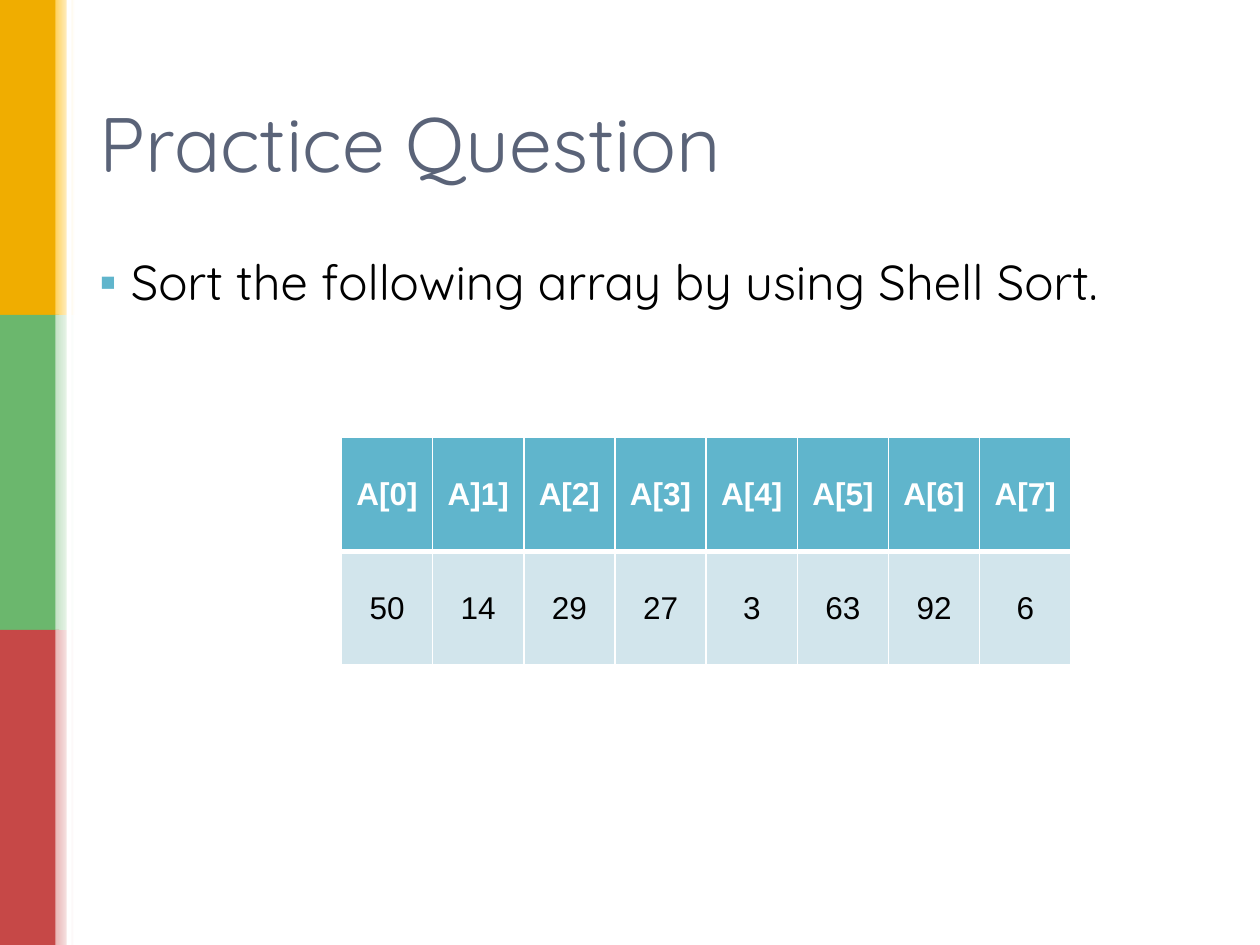
from dataclasses import dataclass

from lxml.etree import SubElement
from pptx import Presentation
from pptx.dml.color import RGBColor as RGB
from pptx.enum.shapes import MSO_SHAPE as SHAPE
from pptx.enum.text import MSO_ANCHOR as ANCHOR, PP_ALIGN as ALIGN
from pptx.oxml.ns import qn
from pptx.util import Inches, Pt


@dataclass(frozen=True)
class Theme:
    text_font: str = "Quicksand"
    table_font: str = "Arial"
    title_size: int = 44
    body_size: int = 28
    table_size: int = 18
    title: str = "5A6378"
    body: str = "000000"
    accent: str = "60B5CC"
    pale: str = "D2E5EC"
    white: str = "FFFFFF"
    # Side bands from top to bottom: solid colour, start of its fade
    bands: tuple = (("F0AD00", "FFD25D"), ("6BB76D", "C4E2C5"), ("C64847", "E8B6B5"))


class SlideBuilder:
    def __init__(self, slide, theme):
        self.slide = slide
        self.theme = theme

    def style(self, paragraph, **formats):
        font = paragraph.font
        font.color.rgb = RGB.from_string(formats.pop("color"))
        for attribute, value in formats.items():
            setattr(font, attribute, value)

    def bar(self, left, top, width, height, color, fade_to=None):
        bar = self.slide.shapes.add_shape(
            SHAPE.RECTANGLE, *map(Inches, (left, top, width, height)))
        bar.shadow.inherit = False
        bar.line.fill.background()
        if fade_to is None:
            bar.fill.solid()
            bar.fill.fore_color.rgb = RGB.from_string(color)
            return
        bar.fill.gradient()
        bar.fill.gradient_angle = 0
        for stop, shade in zip(bar.fill.gradient_stops, (color, fade_to)):
            stop.color.rgb = RGB.from_string(shade)

    def text(self, words, left, top, width, height, anchor, bullet=None, **formats):
        frame = self.slide.shapes.add_textbox(
            *map(Inches, (left, top, width, height))).text_frame
        frame.word_wrap = True
        frame.vertical_anchor = anchor
        paragraph = frame.paragraphs[0]
        paragraph.text = words
        if bullet:
            self.bullet(paragraph, bullet)
        self.style(paragraph, name=self.theme.text_font, **formats)

    def bullet(self, paragraph, mark):
        paragraph.line_spacing = 0.9
        properties = paragraph._p.get_or_add_pPr()
        properties.set("marL", str(Inches(0.25)))
        properties.set("indent", str(Inches(-0.25)))
        color = SubElement(properties, qn("a:buClr"))
        SubElement(color, qn("a:srgbClr"), val=self.theme.accent)
        SubElement(properties, qn("a:buFont"), typeface=self.theme.table_font)
        SubElement(properties, qn("a:buChar"), char=mark)

    def borders(self, cell, widths):
        """Draw white cell borders; widths maps a side (L, R, T, B) to points."""
        properties = cell._tc.get_or_add_tcPr()
        for side, points in widths.items():
            line = SubElement(properties, qn(f"a:ln{side}"), w=str(Pt(points)))
            fill = SubElement(line, qn("a:solidFill"))
            SubElement(fill, qn("a:srgbClr"), val=self.theme.white)

    def table(self, rows, left, top, width, height):
        theme = self.theme
        table = self.slide.shapes.add_table(
            len(rows), len(rows[0]), *map(Inches, (left, top, width, height))).table
        looks = (
            (theme.accent, theme.white, True, {"L": 1, "R": 1, "T": 1, "B": 3}),
            (theme.pale, theme.body, False, {"L": 1, "R": 1, "T": 3, "B": 1}),
        )
        for r, (values, look) in enumerate(zip(rows, looks)):
            background, color, bold, widths = look
            for c, value in enumerate(values):
                cell = table.cell(r, c)
                cell.text = str(value)
                cell.vertical_anchor = ANCHOR.MIDDLE
                self.borders(cell, widths)
                cell.fill.solid()
                cell.fill.fore_color.rgb = RGB.from_string(background)
                paragraph = cell.text_frame.paragraphs[0]
                paragraph.alignment = ALIGN.CENTER
                self.style(paragraph, name=theme.table_font, color=color,
                           size=Pt(theme.table_size), bold=bold)


def main():
    deck = Presentation()
    deck.slide_width, deck.slide_height = Inches(10), Inches(7.5)
    theme = Theme()
    builder = SlideBuilder(deck.slides.add_slide(deck.slide_layouts[6]), theme)

    band_height = 7.5 / len(theme.bands)
    for i, (solid, fade) in enumerate(theme.bands):
        builder.bar(0, i * band_height, 0.47, band_height, solid)
        builder.bar(0.44, i * band_height, 0.15, band_height, fade, theme.white)
    builder.bar(0.53, 0, 0.04, 7.5, theme.white)

    builder.text("Practice Question", 0.69, 0.4, 8.62, 1.45, ANCHOR.MIDDLE,
                 size=Pt(theme.title_size), color=theme.title)
    builder.text("Sort the following array by using Shell Sort.",
                 0.69, 2, 8.62, 4.76, ANCHOR.TOP, bullet="▪",
                 size=Pt(theme.body_size), color=theme.body)

    labels = ["A[0]", "A]1]", "A[2]", "A[3]", "A[4]", "A[5]", "A[6]", "A[7]"]
    numbers = [50, 14, 29, 27, 3, 63, 92, 6]
    builder.table([labels, numbers], 2.71, 3.47, 5.79, 1.81)

    deck.save("out.pptx")


if __name__ == "__main__":
    main()
